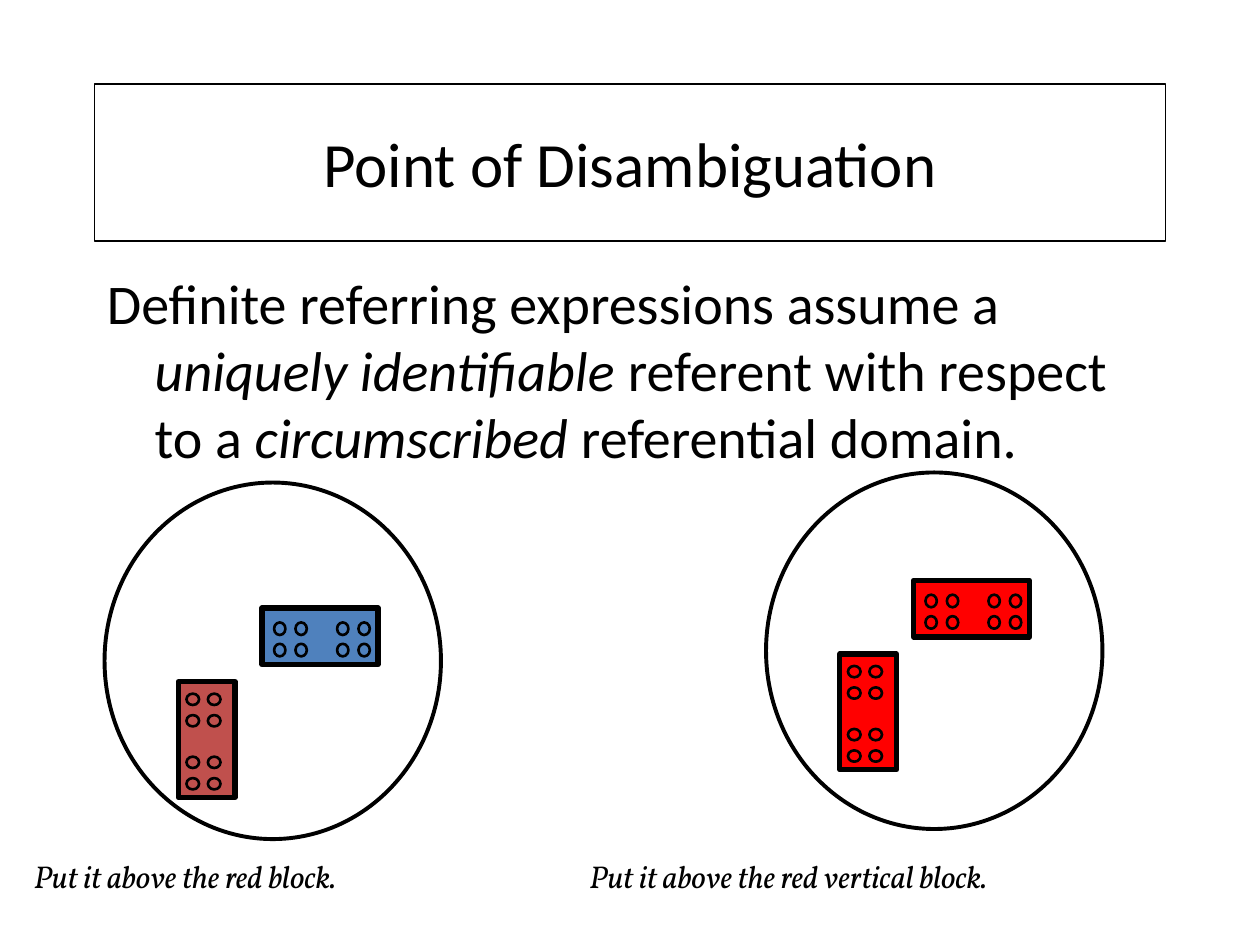
import math

import pptx
import pptx.dml.color
import pptx.enum.shapes
import pptx.enum.text
import pptx.util

Inches = pptx.util.Inches
SHAPES = pptx.enum.shapes.MSO_SHAPE
ALIGN = pptx.enum.text.PP_ALIGN
ANCHOR = pptx.enum.text.MSO_ANCHOR

# Content: spans are (text, italic)
TITLE = [("Point of Disambiguation", False)]
BODY = [
    ("Definite referring expressions assume a ", False),
    ("uniquely identifiable", True),
    (" referent with respect to a ", False),
    ("circumscribed", True),
    (" referential domain.", False),
]
# Brick: centre measured from the domain's corner, rotation, colour
DOMAINS = [
    {"caption": "Put it above the red block.", "caption_at": (0.17, 6.75, 3.92, 0.5),
     "corner": (0.83, 3.83),
     "bricks": [(0.81, 2.04, 90, "muted_red"), (1.71, 1.22, 0, "blue")]},
    {"caption": "Put it above the red vertical block.", "caption_at": (4.58, 6.75, 5.42, 0.5),
     "corner": (6.08, 3.75),
     "bricks": [(0.81, 1.9, 90, "red"), (1.63, 1.08, 0, "red")]},
]

THEME = {
    "ink": "000000", "paper": "FFFFFF",
    "red": "FF0000", "muted_red": "C0504D", "blue": "4F81BD",
    "main_font": "Calibri", "caption_font": "Vollkorn",
    "title_size": 36, "body_size": 32, "caption_size": 18,
    "frame_line": 1, "domain_line": 2.25, "brick_line": 3, "stud_line": 1.5,
}

# Sizes, and stud centres measured from the brick's centre
DOMAIN_SIZE = (2.67, 2.83)
BRICK_SIZE = (0.92, 0.45)
STUD_SIZE = (0.09, 0.1)
STUD_COLUMNS = (-0.32, -0.15, 0.18, 0.35)
STUD_ROWS = (-0.06, 0.11)
HANGING = 0.38


def color(name):
    return pptx.dml.color.RGBColor.from_string(THEME[name])


def write_text(box, spans, font, size, align=ALIGN.LEFT, anchor=ANCHOR.TOP, hanging=0):
    frame = box.text_frame
    frame.word_wrap = True
    frame.vertical_anchor = anchor
    para = frame.paragraphs[0]
    para.alignment = align
    if hanging:
        properties = para._p.get_or_add_pPr()
        properties.set("marL", str(Inches(hanging)))
        properties.set("indent", str(-Inches(hanging)))
    for text, italic in spans:
        span = para.add_run()
        span.text = text
        span.font.name = THEME[font]
        span.font.size = pptx.util.Pt(THEME[size])
        span.font.italic = italic
        span.font.color.rgb = color("ink")


def add_outlined(parent, kind, center, size, line, fill=None, rotation=0):
    left, top = (middle - length / 2 for middle, length in zip(center, size))
    shape = parent.add_shape(kind, *map(Inches, (left, top, *size)))
    shape.shadow.inherit = False
    shape.rotation = rotation
    if fill:
        shape.fill.solid()
        shape.fill.fore_color.rgb = color(fill)
    else:
        shape.fill.background()
    shape.line.color.rgb = color("ink")
    shape.line.width = pptx.util.Pt(THEME[line])
    return shape


def add_brick(parent, x, y, rotation, fill):
    add_outlined(parent, SHAPES.RECTANGLE, (x, y), BRICK_SIZE, "brick_line", fill, rotation)
    cos, sin = math.cos(math.radians(rotation)), math.sin(math.radians(rotation))
    for row in STUD_ROWS:
        for column in STUD_COLUMNS:
            center = (x + column * cos - row * sin, y + column * sin + row * cos)
            add_outlined(parent, SHAPES.OVAL, center, STUD_SIZE, "stud_line", fill, rotation)


def add_domain(page, domain):
    group = page.shapes.add_group_shape().shapes
    left, top = domain["corner"]
    center = (left + DOMAIN_SIZE[0] / 2, top + DOMAIN_SIZE[1] / 2)
    add_outlined(group, SHAPES.OVAL, center, DOMAIN_SIZE, "domain_line")
    for x, y, rotation, fill in domain["bricks"]:
        add_brick(group, left + x, top + y, rotation, fill)
    caption = group.add_textbox(*map(Inches, domain["caption_at"]))
    write_text(caption, [(domain["caption"], True)], "caption_font", "caption_size")


def main():
    deck = pptx.Presentation()
    deck.slide_width, deck.slide_height = Inches(10), Inches(7.5)
    page = deck.slides.add_slide(deck.slide_layouts[6])

    # Title and definition
    title = add_outlined(page.shapes, SHAPES.RECTANGLE, (5, 1.29), (8.5, 1.25),
                         "frame_line", "paper")
    write_text(title, TITLE, "main_font", "title_size", align=ALIGN.CENTER,
               anchor=ANCHOR.MIDDLE)
    body = page.shapes.add_textbox(*map(Inches, (0.75, 2.08, 8.5, 4.5)))
    write_text(body, BODY, "main_font", "body_size", hanging=HANGING)

    # Referential domains with their captions
    for domain in DOMAINS:
        add_domain(page, domain)
    deck.save("out.pptx")


if __name__ == "__main__":
    main()
